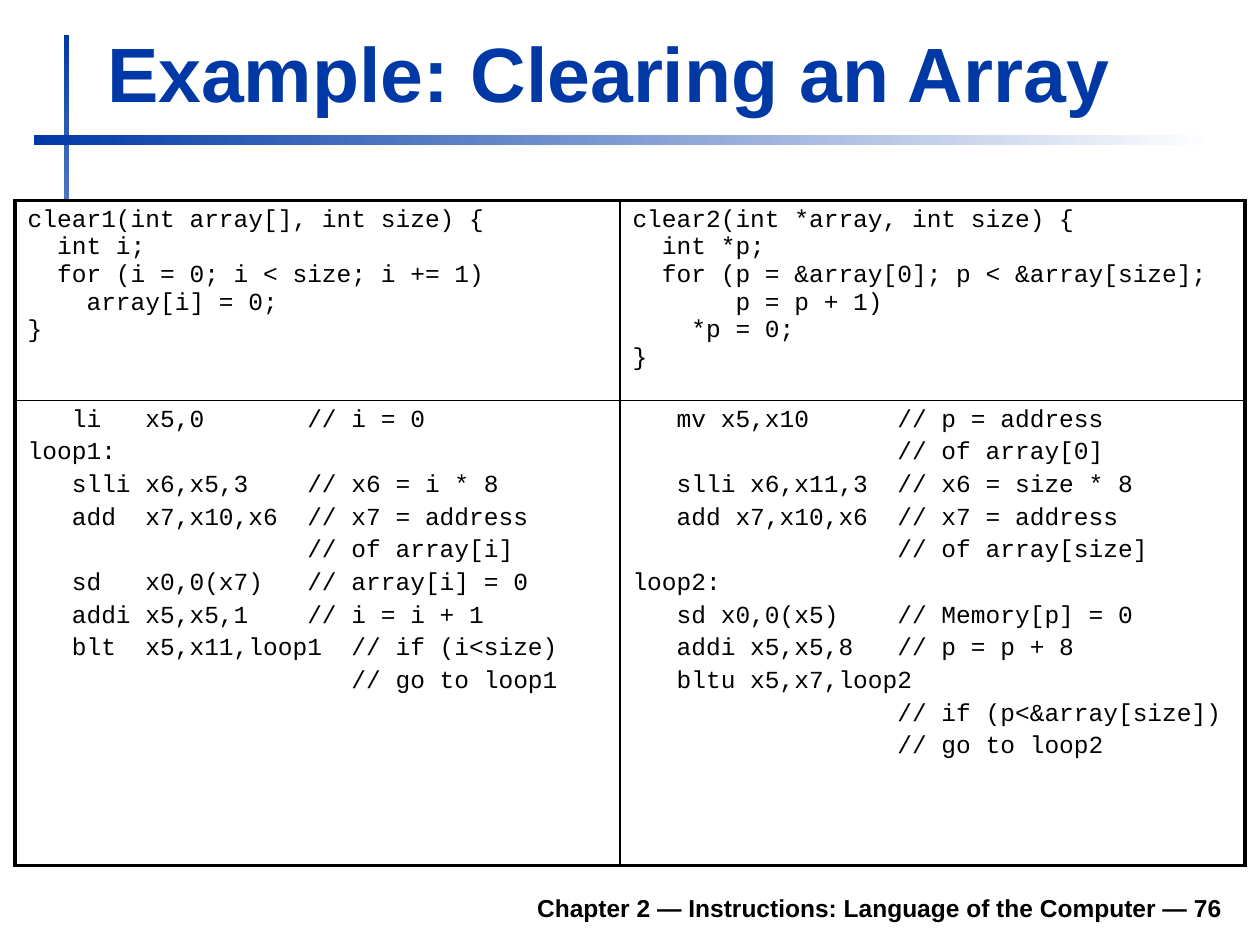
from dataclasses import dataclass

from lxml.etree import SubElement as Sub
from pptx import Presentation
from pptx.dml.color import RGBColor as RGB
from pptx.enum.shapes import MSO_SHAPE as Shape
from pptx.enum.text import MSO_ANCHOR as Anchor, MSO_AUTO_SIZE as Fit, PP_ALIGN as Align
from pptx.oxml.ns import qn
from pptx.util import Inches, Pt


@dataclass(frozen=True)
class Theme:
    blue: RGB = RGB(0x00, 0x39, 0xA6)
    black: RGB = RGB(0, 0, 0)
    white: RGB = RGB(255, 255, 255)
    sans: str = "Arial"
    mono: str = "Courier New"
    head: int = 44
    text: int = 14
    thick: float = 2.25
    thin: float = 1


@dataclass(frozen=True)
class Bar:
    left: float
    top: float
    width: float
    height: float
    angle: int


@dataclass(frozen=True)
class Code:
    row: int
    col: int
    text: str
    gap: float = 0


THEME = Theme()
WIDTHS = (4.8, 4.96)
HEIGHTS = (1.59, 3.69)
BARS = (
    Bar(0.51, 0.28, 0.04, 4.17, 270),
    Bar(0.27, 1.07, 9.37, 0.08, 0),
)
CODES = (
    Code(0, 0, """clear1(int array[], int size) {
  int i;
  for (i = 0; i < size; i += 1)
    array[i] = 0;
}"""),
    Code(0, 1, """clear2(int *array, int size) {
  int *p;
  for (p = &array[0]; p < &array[size];
       p = p + 1)
    *p = 0;
}"""),
    Code(1, 0, """   li   x5,0       // i = 0
loop1:
   slli x6,x5,3    // x6 = i * 8
   add  x7,x10,x6  // x7 = address
                   // of array[i]
   sd   x0,0(x7)   // array[i] = 0
   addi x5,x5,1    // i = i + 1
   blt  x5,x11,loop1  // if (i<size)
                      // go to loop1""", 2.8),
    Code(1, 1, """   mv x5,x10      // p = address
                  // of array[0]
   slli x6,x11,3  // x6 = size * 8
   add x7,x10,x6  // x7 = address
                  // of array[size]
loop2:
   sd x0,0(x5)    // Memory[p] = 0
   addi x5,x5,8   // p = p + 8
   bltu x5,x7,loop2
                  // if (p<&array[size])
                  // go to loop2""", 2.8),
)


def style(para, face: str, size: int, color: RGB, bold: bool) -> None:
    for run in para.runs:
        font = run.font
        font.name, font.size, font.bold = face, Pt(size), bold
        font.color.rgb = color


def draw_bar(slide, bar: Bar) -> None:
    box = slide.shapes.add_shape(
        Shape.RECTANGLE, Inches(bar.left), Inches(bar.top),
        Inches(bar.width), Inches(bar.height))
    box.shadow.inherit = False
    box.line.fill.background()
    box.fill.gradient()
    box.fill.gradient_angle = bar.angle
    for stop, color in zip(box.fill.gradient_stops, (THEME.blue, THEME.white)):
        stop.color.rgb = color


def draw_edge(cell, side: str, width: float) -> None:
    props = cell._tc.get_or_add_tcPr()
    line = Sub(props, qn(f"a:ln{side}"), w=str(Pt(width)))
    Sub(Sub(line, qn("a:solidFill")), qn("a:srgbClr"), val=str(THEME.black))


def draw_code(table, code: Code) -> None:
    cell = table.cell(code.row, code.col)
    outer = {"L": code.col == 0, "R": code.col == 1,
             "T": code.row == 0, "B": code.row == 1}
    for side, edge in outer.items():
        draw_edge(cell, side, THEME.thick if edge else THEME.thin)
    cell.fill.solid()
    cell.fill.fore_color.rgb = THEME.white
    cell.margin_left = cell.margin_right = Inches(0.1)
    cell.margin_top = cell.margin_bottom = Inches(0.05)
    cell.text_frame.text = code.text
    for para in cell.text_frame.paragraphs:
        para.space_before = Pt(code.gap)
        style(para, THEME.mono, THEME.text, THEME.black, False)


def draw_table(slide) -> None:
    table = slide.shapes.add_table(
        len(HEIGHTS), len(WIDTHS), Inches(0.12), Inches(1.59),
        Inches(sum(WIDTHS)), Inches(sum(HEIGHTS))).table
    table.first_row = table.horz_banding = False
    for col, width in zip(table.columns, WIDTHS):
        col.width = Inches(width)
    for row, height in zip(table.rows, HEIGHTS):
        row.height = Inches(height)
    for code in CODES:
        draw_code(table, code)


def draw_title(slide) -> None:
    title = slide.shapes.title
    title.left, title.top = Inches(0.75), Inches(0.16)
    title.width, title.height = Inches(9.03), Inches(0.83)
    frame = title.text_frame
    frame.text = "Example: Clearing an Array"
    frame.vertical_anchor = Anchor.BOTTOM
    frame.auto_size = Fit.SHAPE_TO_FIT_TEXT
    para = frame.paragraphs[0]
    para.alignment = Align.LEFT
    style(para, THEME.sans, THEME.head, THEME.blue, True)


def draw_foot(slide) -> None:
    frame = slide.shapes.add_textbox(
        Inches(1.85), Inches(6.98), Inches(7.95), Inches(0.39)).text_frame
    frame.word_wrap = True
    frame.vertical_anchor = Anchor.BOTTOM
    frame.text = "Chapter 2 — Instructions: Language of the Computer — 76"
    para = frame.paragraphs[0]
    para.alignment = Align.RIGHT
    style(para, THEME.sans, THEME.text, THEME.black, True)


def main() -> None:
    deck = Presentation()
    deck.slide_width, deck.slide_height = Inches(10), Inches(7.5)
    slide = deck.slides.add_slide(deck.slide_layouts[5])
    for bar in BARS:
        draw_bar(slide, bar)
    draw_foot(slide)
    draw_title(slide)
    draw_table(slide)
    deck.save("out.pptx")


if __name__ == "__main__":
    main()
